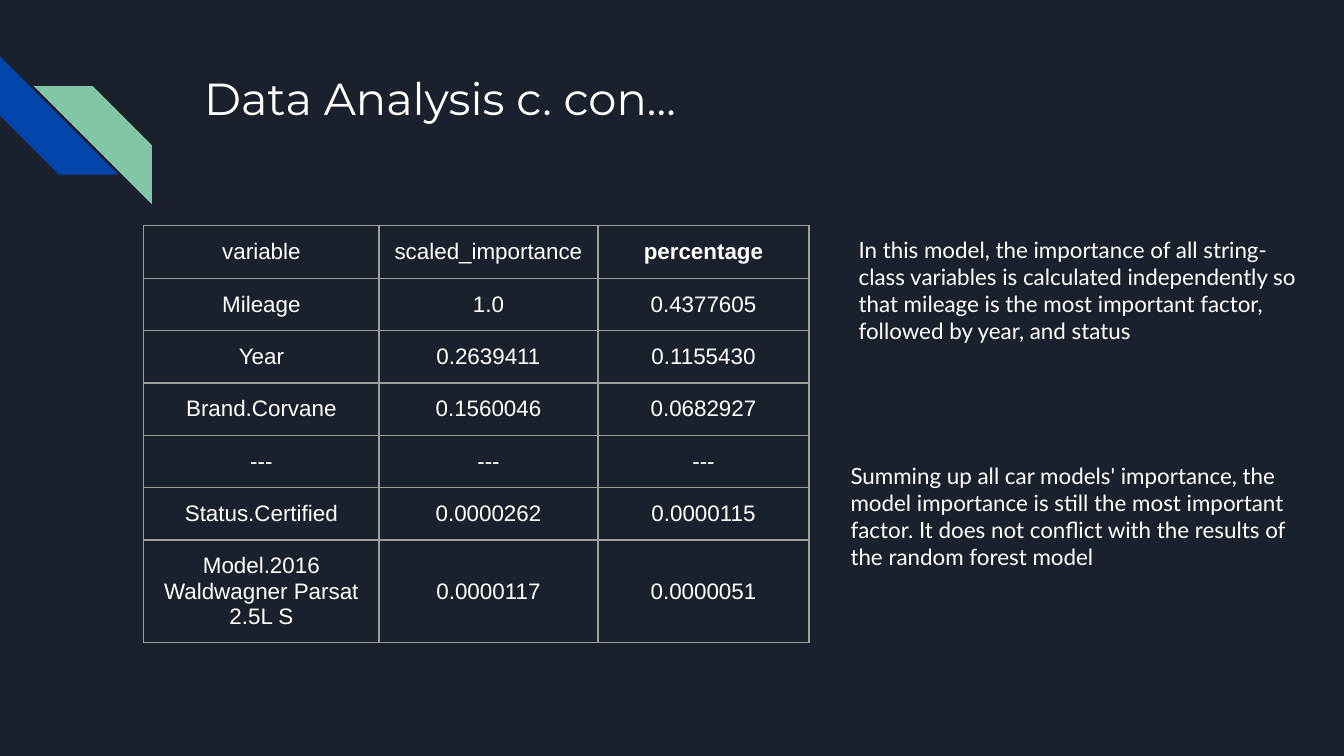
from dataclasses import dataclass

from lxml import etree
from pptx import Presentation
from pptx.dml.color import RGBColor
from pptx.enum import shapes as kinds, text as layout
from pptx.oxml import ns
from pptx.util import Inches, Pt


@dataclass(frozen=True)
class Theme:
    background: str = "1B212C"
    ink: str = "FFFFFF"
    grid: str = "9E9E9E"
    blue: str = "0145AC"
    green: str = "82C7A5"
    title_font: str = "Montserrat"
    table_font: str = "Arial"
    note_font: str = "Lato"
    title_size: int = 24
    body_size: int = 12
    grid_width: float = 0.75


THEME = Theme()
SLIDE_WIDTH = Inches(10)
SLIDE_HEIGHT = SLIDE_WIDTH * 9 // 16
INSET = Inches(0.1)
SIDES = ("left", "right", "top", "bottom")

IMPORTANCE = [
    ("variable", "scaled_importance", "percentage"),
    ("Mileage", "1.0", "0.4377605"),
    ("Year", "0.2639411", "0.1155430"),
    ("Brand.Corvane", "0.1560046", "0.0682927"),
    ("---", "---", "---"),
    ("Status.Certified", "0.0000262", "0.0000115"),
    ("Model.2016 Waldwagner Parsat 2.5L S", "0.0000117", "0.0000051"),
]
COLUMN_WIDTHS = (1.75, 1.63, 1.57)
ROW_HEIGHTS = (0.39,) * 6 + (0.75,)

MODEL_NOTE = (
    "In this model, the importance of all string-class variables is calculated "
    "independently so that mileage is the most important factor, followed by "
    "year, and status"
)
SUMMARY_NOTE = (
    "Summing up all car models' importance, the model importance is still the "
    "most important factor. It does not conflict with the results of the random "
    "forest model"
)


def apply_format(target, values):
    for name, value in values.items():
        setattr(target, name, value)


def paint(fill, color):
    fill.solid()
    fill.fore_color.rgb = RGBColor.from_string(color)


def write(paragraph, words, font_name, size, bold=False):
    paragraph.text = words
    font = paragraph.runs[0].font
    apply_format(font, {"name": font_name, "size": Pt(size), "bold": bold})
    font.color.rgb = RGBColor.from_string(THEME.ink)


def add_stripe(slide, left, top, rotation, color):
    side = Inches(0.88)
    stripe = slide.shapes.add_shape(
        kinds.MSO_SHAPE.DIAGONAL_STRIPE, Inches(left), Inches(top), side, side
    )
    stripe.rotation = rotation
    stripe.shadow.inherit = False
    paint(stripe.fill, color)
    stripe.line.fill.background()


def add_text(slide, box, words, font_name, size, auto_size):
    frame = slide.shapes.add_textbox(*map(Inches, box)).text_frame
    apply_format(frame, {f"margin_{side}": INSET for side in SIDES})
    apply_format(frame, {"word_wrap": True, "auto_size": auto_size})
    write(frame.paragraphs[0], words, font_name, size)


def add_borders(cell):
    properties = cell._tc.get_or_add_tcPr()
    for position, tag in enumerate(("a:lnL", "a:lnR", "a:lnT", "a:lnB")):
        border = etree.Element(ns.qn(tag), w=str(Pt(THEME.grid_width)))
        fill = etree.SubElement(border, ns.qn("a:solidFill"))
        etree.SubElement(fill, ns.qn("a:srgbClr"), val=THEME.grid)
        properties.insert(position, border)


def fill_cell(cell, words, bold):
    apply_format(cell, {f"margin_{side}": INSET for side in SIDES})
    cell.vertical_anchor = layout.MSO_ANCHOR.MIDDLE
    cell.fill.background()
    add_borders(cell)
    paragraph = cell.text_frame.paragraphs[0]
    paragraph.alignment = layout.PP_ALIGN.CENTER
    write(paragraph, words, THEME.table_font, THEME.body_size, bold)


def add_importance_table(slide, left, top):
    table = slide.shapes.add_table(
        len(ROW_HEIGHTS), len(COLUMN_WIDTHS), Inches(left), Inches(top),
        Inches(sum(COLUMN_WIDTHS)), Inches(sum(ROW_HEIGHTS)),
    ).table
    apply_format(table, {"first_row": False, "horz_banding": False})
    for column, width in zip(table.columns, COLUMN_WIDTHS):
        column.width = Inches(width)
    for row, height, entries in zip(table.rows, ROW_HEIGHTS, IMPORTANCE):
        row.height = Inches(height)
        for cell, words in zip(row.cells, entries):
            fill_cell(cell, words, bold=words == "percentage")


def main():
    deck = Presentation()
    apply_format(deck, {"slide_width": SLIDE_WIDTH, "slide_height": SLIDE_HEIGHT})
    slide = deck.slides.add_slide(deck.slide_layouts[6])
    paint(slide.background.fill, THEME.background)

    add_stripe(slide, 0, 0.42, 270, THEME.blue)
    add_stripe(slide, 0.25, 0.64, 90, THEME.green)
    add_text(slide, (1.42, 0.43, 7.7, 1), "Data Analysis c. con…",
             THEME.title_font, THEME.title_size, layout.MSO_AUTO_SIZE.NONE)
    add_importance_table(slide, 1.07, 1.68)
    for box, words in (
        ((6.29, 1.66, 3.56, 1.01), MODEL_NOTE),
        ((6.23, 3.34, 3.68, 1.01), SUMMARY_NOTE),
    ):
        add_text(slide, box, words, THEME.note_font, THEME.body_size,
                 layout.MSO_AUTO_SIZE.SHAPE_TO_FIT_TEXT)

    deck.save("out.pptx")


if __name__ == "__main__":
    main()
